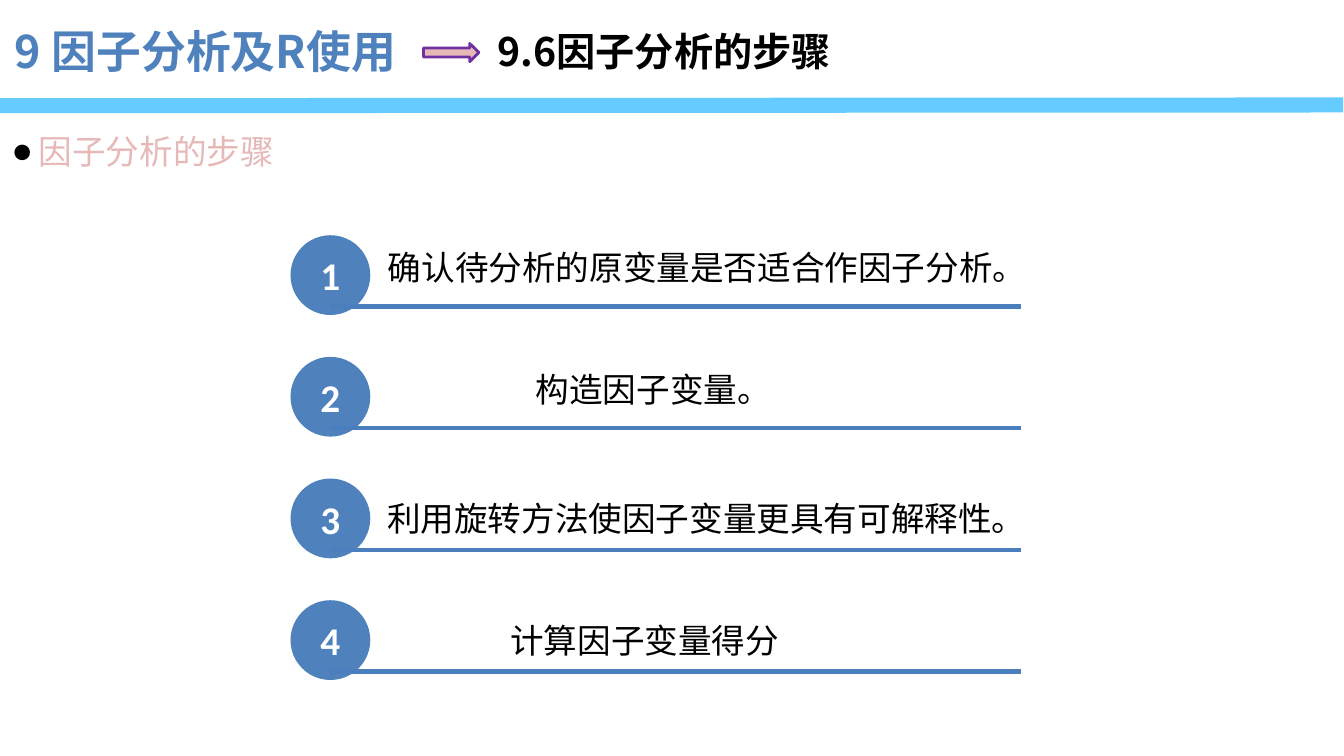
from dataclasses import dataclass
from lxml.etree import SubElement
from pptx import Presentation
from pptx.dml.color import RGBColor
from pptx.enum.shapes import MSO_CONNECTOR, MSO_SHAPE
from pptx.enum.text import MSO_ANCHOR, MSO_AUTO_SIZE, PP_ALIGN
from pptx.oxml.ns import qn
from pptx.util import Pt


@dataclass(frozen=True)
class Theme:
    han: str = "Noto Sans CJK SC"
    latin: str = "Calibri"
    blue: str = "4F81BD"
    rule: str = "4B7EBC"
    sky: str = "66CCFF"
    pink: str = "E6B9B8"
    red: str = "C0504D"
    purple: str = "7030A0"
    black: str = "000000"
    white: str = "FFFFFF"
    title: int = 32
    head: int = 28
    body: int = 24


THEME = Theme()
TOP, PITCH = 168, 86.9
# wording, left edge and drop of the label below the top of its dot
STEPS = [
    ("确认待分析的原变量是否适合作因子分析。", 270, 5, 482),
    ("构造因子变量。", 375.5, 5, 192),
    ("利用旋转方法使因子变量更具有可解释性。", 269.5, 10.5, 482),
    ("计算因子变量得分", 357.5, 10.5, 208),
]


def rgb(code):
    return RGBColor.from_string(code)


def place(shape, left, top, width, height):
    shape.left, shape.top = Pt(left), Pt(top)
    shape.width, shape.height = Pt(width), Pt(height)


def write(shape, text, size, color, bold=False, face=THEME.han,
          align=PP_ALIGN.LEFT, anchor=MSO_ANCHOR.TOP, wrap=True):
    frame = shape.text_frame
    frame.word_wrap = wrap
    frame.auto_size = MSO_AUTO_SIZE.NONE
    frame.vertical_anchor = anchor
    para = frame.paragraphs[0]
    para.text = text
    para.alignment = align
    para.space_before = Pt(0)
    font = para.font
    font.size, font.bold, font.name = Pt(size), bold, face
    font.color.rgb = rgb(color)
    props = para._p.pPr.find(qn("a:defRPr"))
    SubElement(props, qn("a:ea")).set("typeface", face)
    return para


def add_label(shapes, box, text, size, color, **style):
    label = shapes.add_textbox(*map(Pt, box))
    write(label, text, size, color, **style)


def add_rule(shapes, start, end, color, width, cap="flat"):
    line = shapes.add_connector(MSO_CONNECTOR.STRAIGHT, *map(Pt, start + end))
    line.line.color.rgb = rgb(color)
    line.line.width = Pt(width)
    line.line._get_or_add_ln().set("cap", cap)
    SubElement(line._element.spPr, qn("a:effectLst"))


def add_solid(shapes, kind, box, fill):
    shape = shapes.add_shape(kind, *map(Pt, box))
    shape.shadow.inherit = False
    shape.fill.solid()
    shape.fill.fore_color.rgb = rgb(fill)
    shape.line.fill.background()
    return shape


def add_step(slide, index, text, left, drop, width):
    """Group a numbered dot, its underline and its label."""
    top = TOP + index * PITCH
    shapes = slide.shapes.add_group_shape().shapes
    dot = add_solid(shapes, MSO_SHAPE.FLOWCHART_CONNECTOR,
                    (207.5, top, 57, 57), THEME.blue)
    write(dot, str(index + 1), THEME.head, THEME.white, bold=True,
          face=THEME.latin, align=PP_ALIGN.CENTER, anchor=MSO_ANCHOR.MIDDLE)
    add_rule(shapes, (236, top + 51), (729.5, top + 51), THEME.rule, 3)
    add_label(shapes, (left, top + drop, width, 36), text,
              THEME.body, THEME.black, wrap=False)


def fill_topic(body, text):
    """Format the body placeholder as one outlined, bulleted line."""
    place(body, 1.5, 75.5, 948, 51)
    para = body.text_frame.paragraphs[0]
    props = para._p.get_or_add_pPr()
    props.set("marL", str(Pt(19)))
    props.set("indent", str(Pt(-19)))
    tint = SubElement(props, qn("a:buClr"))
    SubElement(tint, qn("a:srgbClr")).set("val", THEME.black)
    SubElement(props, qn("a:buFont")).set("typeface", THEME.latin)
    SubElement(props, qn("a:buChar")).set("char", "●")
    write(body, text, THEME.body, THEME.pink, align=PP_ALIGN.JUSTIFY)
    para.line_spacing = 1.5
    edge = SubElement(para.runs[0].font._element, qn("a:ln")) \
        if hasattr(para.runs[0].font, "_element") \
        else SubElement(para.runs[0]._r.get_or_add_rPr(), qn("a:ln"))
    edge.set("w", str(Pt(1.75)))
    ink = SubElement(edge, qn("a:solidFill"))
    SubElement(ink, qn("a:srgbClr")).set("val", THEME.red)


def main():
    deck = Presentation()
    deck.slide_width, deck.slide_height = Pt(960), Pt(540)
    slide = deck.slides.add_slide(deck.slide_layouts[1])
    shapes = slide.shapes
    title, body = slide.placeholders

    place(title, 3.5, 13, 438.5, 46)
    write(title, "9 因子分析及R使用", THEME.title, THEME.blue, bold=True)
    add_label(shapes, (348.5, 16, 341, 41), "9.6因子分析的步骤",
              THEME.head, THEME.black, bold=True)
    add_rule(shapes, (5.5, 75.5), (954, 75), THEME.sky, 10.75, cap="sq")
    arrow = add_solid(shapes, MSO_SHAPE.RIGHT_ARROW,
                      (302.5, 31, 39.5, 13), THEME.pink)
    arrow.line.color.rgb = rgb(THEME.purple)
    arrow.line.width = Pt(2)

    for index, step in enumerate(STEPS):
        add_step(slide, index, *step)
    fill_topic(body, "因子分析的步骤")
    deck.save("out.pptx")


if __name__ == "__main__":
    main()
